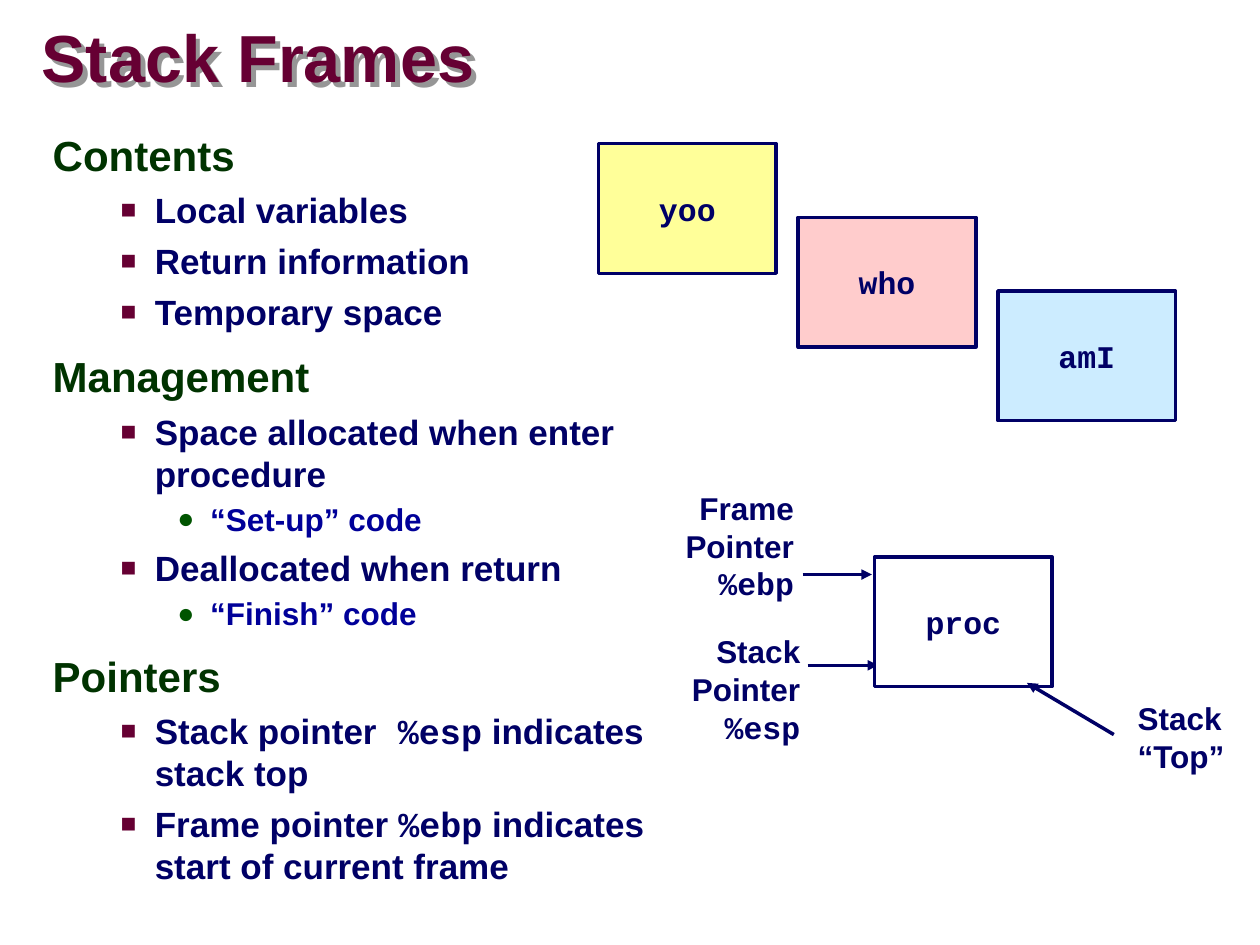
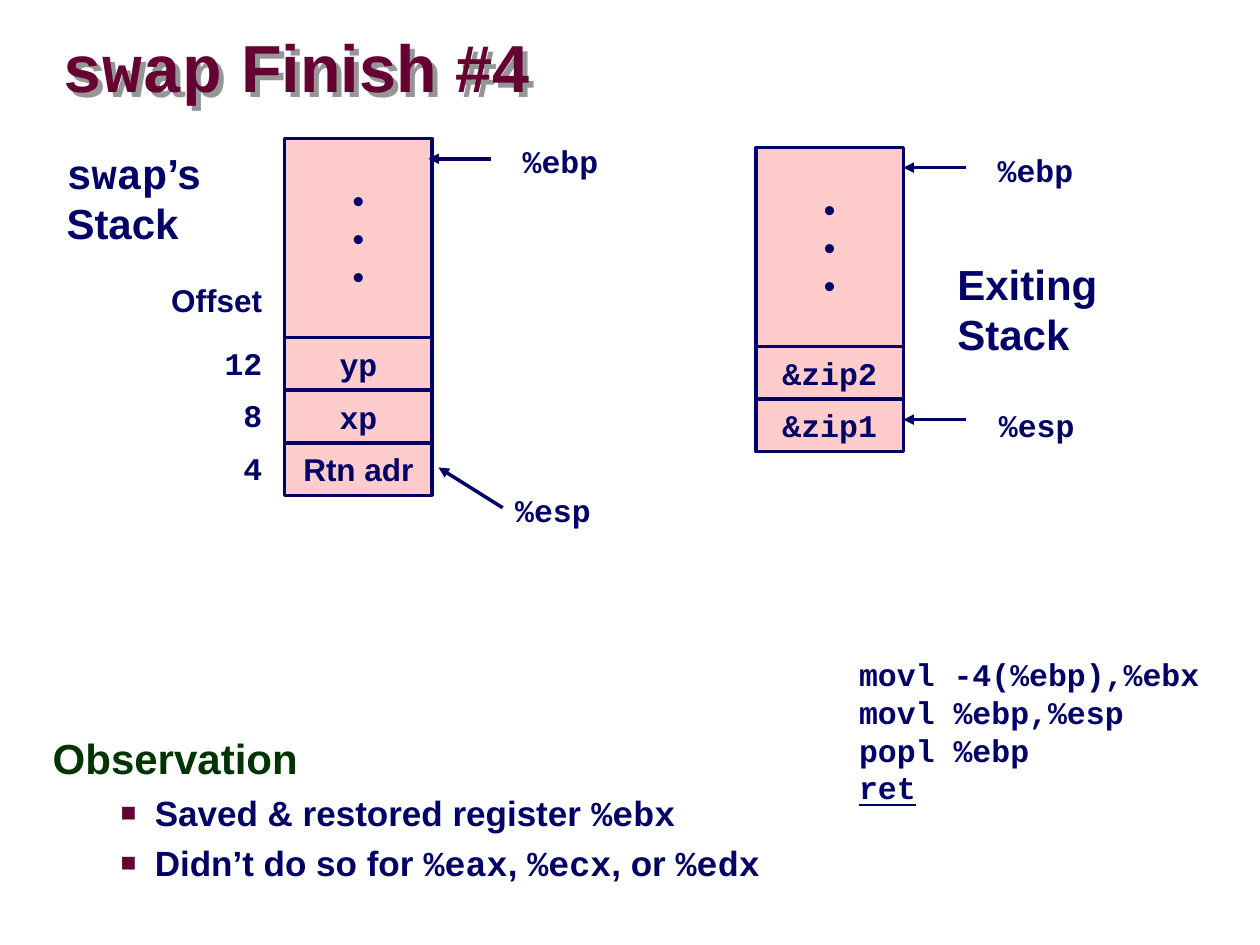
from lxml import etree
from pptx import Presentation
from pptx.dml.color import RGBColor
from pptx.enum.shapes import MSO_CONNECTOR, MSO_SHAPE
from pptx.enum.text import MSO_ANCHOR, PP_ALIGN
from pptx.oxml.ns import qn
from pptx.util import Inches, Pt

LEFT, RIGHT, MID = PP_ALIGN.LEFT, PP_ALIGN.RIGHT, PP_ALIGN.CENTER
TOP, CORE = MSO_ANCHOR.TOP, MSO_ANCHOR.MIDDLE
RECT, LINE = MSO_SHAPE.RECTANGLE, MSO_CONNECTOR.STRAIGHT

SANS, MONO = "Arial", "Courier New"
NAVY, WINE, PINK = "000066", "660033", "FFCCCC"
GREY, WHITE = "969696", "FFFFFF"
COLS = 100      # the slide is 100 columns by 75 rows
LEAD = 1.2      # line height as a share of the text size

# Outline levels: size, colour, line share, space before, indent, hang, bullet
LEVELS = [
    (24, "003300", 0.95, 12, 0, 0, None),
    (20, NAVY, 1, 5, 0.81, 0.27, ("■", WINE, 75)),
    (18, "000099", 1.07, 1.8, 1.25, 0.26, ("●", "005400", 90)),
]


def rgb(code):
    return RGBColor.from_string(code)


def node(root, tag, **attrs):
    return etree.SubElement(root, qn(tag), {k: str(v) for k, v in attrs.items()})


class Deck:
    def __init__(self):
        self.prs = Presentation()
        self.prs.slide_width, self.prs.slide_height = Inches(10), Inches(7.5)
        self.unit = self.prs.slide_width / COLS
        self.slide = None

    def grid(self, *cells):
        return [round(cell * self.unit) for cell in cells]

    def page(self, title, col, row):
        """Start a slide with its shadowed title."""
        self.slide = self.prs.slides.add_slide(self.prs.slide_layouts[6])
        box = self.slide.shapes.add_textbox(*self.grid(col, row, 63, 6.3))
        frame = self.frame(box, CORE)
        self.line(frame.paragraphs[0], title, 38, WINE, 0.87)
        glow = node(node(box._element.spPr, "a:effectLst"), "a:outerShdw",
                    dist=51000, dir=2700000, algn="ctr", rotWithShape=0)
        node(glow, "a:srgbClr", val=GREY)

    def frame(self, shape, anchor, left=0, right=0, top=0):
        frame = shape.text_frame
        frame.word_wrap, frame.vertical_anchor = True, anchor
        frame.margin_left, frame.margin_right = Inches(left), Inches(right)
        frame.margin_top = frame.margin_bottom = Inches(top)
        return frame

    def line(self, para, text, size, color=NAVY, share=1, align=LEFT):
        """Write one paragraph; parts between backticks are code."""
        para.alignment = align
        para.line_spacing = Pt(round(size * LEAD * share, 1))
        for i, part in enumerate(text.split("`")):
            if part:
                run = para.add_run()
                run.text = part
                font = run.font
                font.name, font.size, font.bold = MONO if i % 2 else SANS, Pt(size), True
                font.color.rgb = rgb(color)

    def lines(self, frame, texts, size, align):
        for i, text in enumerate(texts):
            para = frame.add_paragraph() if i else frame.paragraphs[0]
            self.line(para, text, size, align=align)

    def label(self, col, row, wide, *texts, size=18, align=LEFT):
        tall = len(texts) * size / 6 + 1
        box = self.slide.shapes.add_textbox(*self.grid(col, row, wide, tall))
        pads = (0, 0.1) if align == RIGHT else (0.1, 0)
        frame = self.frame(box, TOP, *pads, top=0.05)
        self.lines(frame, texts, size, align)
        return frame

    def box(self, col, row, wide, tall, fill, *texts):
        box = self.slide.shapes.add_shape(RECT, *self.grid(col, row, wide, tall))
        box.shadow.inherit = False
        box.fill.solid()
        box.fill.fore_color.rgb = rgb(fill)
        box.line.color.rgb, box.line.width = rgb(NAVY), Pt(2)
        self.lines(self.frame(box, CORE), texts, 18, MID)

    def arrow(self, *ends):
        link = self.slide.shapes.add_connector(LINE, *self.grid(*ends))
        link.line.color.rgb, link.line.width = rgb(NAVY), Pt(2)
        node(link.line._get_or_add_ln(), "a:tailEnd", type="triangle")
        node(link._element.spPr, "a:effectLst")

    def body(self, row, wide, tall, items):
        """Outline text: pairs of level and text."""
        box = self.slide.shapes.add_textbox(*self.grid(3.2, row, wide, tall))
        frame = self.frame(box, TOP, 0.1, 0.1, 0.05)
        for i, (level, text) in enumerate(items):
            size, color, share, gap, left, hang, mark = LEVELS[level]
            para = frame.add_paragraph() if i else frame.paragraphs[0]
            self.line(para, text, size, color, share)
            para.level = level
            para.space_before = Pt(gap if i else 0)
            if mark:
                self.bullet(para, left, hang, *mark)

    def bullet(self, para, left, hang, char, color, size):
        props = para._p.get_or_add_pPr()
        props.set("marL", str(Inches(left)))
        props.set("indent", str(-Inches(hang)))
        node(node(props, "a:buClr"), "a:srgbClr", val=color)
        node(props, "a:buSzPct", val=size * 1000)
        node(props, "a:buFont", typeface=SANS)
        node(props, "a:buChar", char=char)

    def stack(self, col, row, cells):
        """A tall cell with three dots above a column of named cells."""
        wide, head, tall = 11.7, 15.8, 4.17
        for i, cell in enumerate(cells):
            self.box(col, row + head + i * tall, wide, tall, PINK, cell)
        self.box(col, row, wide, head, PINK, "•", "•", "•")


def frames(deck):
    deck.page("Stack Frames", 3.3, 1.7)
    deck.body(10, 55.2, 57.1, [
        (0, "Contents"),
        (1, "Local variables"),
        (1, "Return information"),
        (1, "Temporary space"),
        (0, "Management"),
        (1, "Space allocated when enter procedure"),
        (2, "“Set-up” code"),
        (1, "Deallocated when return"),
        (2, "“Finish” code"),
        (0, "Pointers"),
        (1, "Stack pointer` %esp` indicates stack top"),
        (1, "Frame pointer `%ebp` indicates start of current frame"),
    ])

    # Call chain, stepping down to the right
    calls = [("yoo", "FFFF99"), ("who", PINK), ("amI", "CCECFF")]
    for i, (name, fill) in enumerate(calls):
        deck.box(47.5 + i * 15.85, 11.4 + i * 5.85, 14.1, 10.3, fill, f"`{name}`")

    # Pointers into one frame
    deck.arrow(64.1, 52.8, 69.7, 52.8)
    deck.box(69.4, 44.2, 14.1, 10.3, WHITE, "`proc`")
    deck.arrow(63.7, 45.6, 69.2, 45.6)
    deck.arrow(88.4, 58.3, 81.5, 54.2)
    deck.label(53.4, 38.3, 10.6, "Frame", "Pointer", "`%ebp`", align=RIGHT)
    deck.label(53.9, 49.7, 10.6, "Stack", "Pointer", "`%esp`", align=RIGHT)
    deck.label(89.3, 55, 9.1, "Stack", "“Top”")


def finish(deck):
    deck.page("`swap` Finish #4", 5, 2.5)
    deck.body(57.8, 90.9, 12.7, [
        (0, "Observation"),
        (1, "Saved & restored register `%ebx`"),
        (1, "Didn’t do so for `%eax`, `%ecx`, or `%edx`"),
    ])
    code = deck.label(67.2, 51.5, 29, "`movl -4(%ebp),%ebx`", "`movl %ebp,%esp`",
                      "`popl %ebp`", "`ret`")
    code.paragraphs[-1].runs[0].font.underline = True

    # Stack before the return
    deck.stack(22.6, 11, ["`yp`", "`xp`", "Rtn adr"])
    deck.label(4.3, 11.2, 13, "`swap`’s", "Stack", size=24)
    deck.label(11.8, 21.8, 10, "Offset", align=RIGHT)
    for i, text in enumerate(["`12`", "`8`", "`4`"]):
        deck.label(15.3, 26.8 + i * 4.17, 6.5, text, align=RIGHT)
    deck.arrow(39, 12.6, 34, 12.6)
    deck.label(40.5, 10.8, 8, "`%ebp`")
    deck.arrow(39.9, 40.3, 34.8, 37.1)
    deck.label(39.9, 38.5, 8, "`%esp`")

    # Stack after the return
    deck.stack(60, 11.7, ["`&zip2`", "`&zip1`"])
    deck.label(75, 20, 13.1, "Exiting", "Stack", size=24)
    for row, col, top, name in [(13.3, 78.2, 11.5, "%ebp"), (33.3, 78.3, 31.7, "%esp")]:
        deck.arrow(76.7, row, 71.7, row)
        deck.label(col, top, 8, f"`{name}`")


def main():
    deck = Deck()
    frames(deck)
    finish(deck)
    deck.prs.save("out.pptx")


if __name__ == "__main__":
    main()
